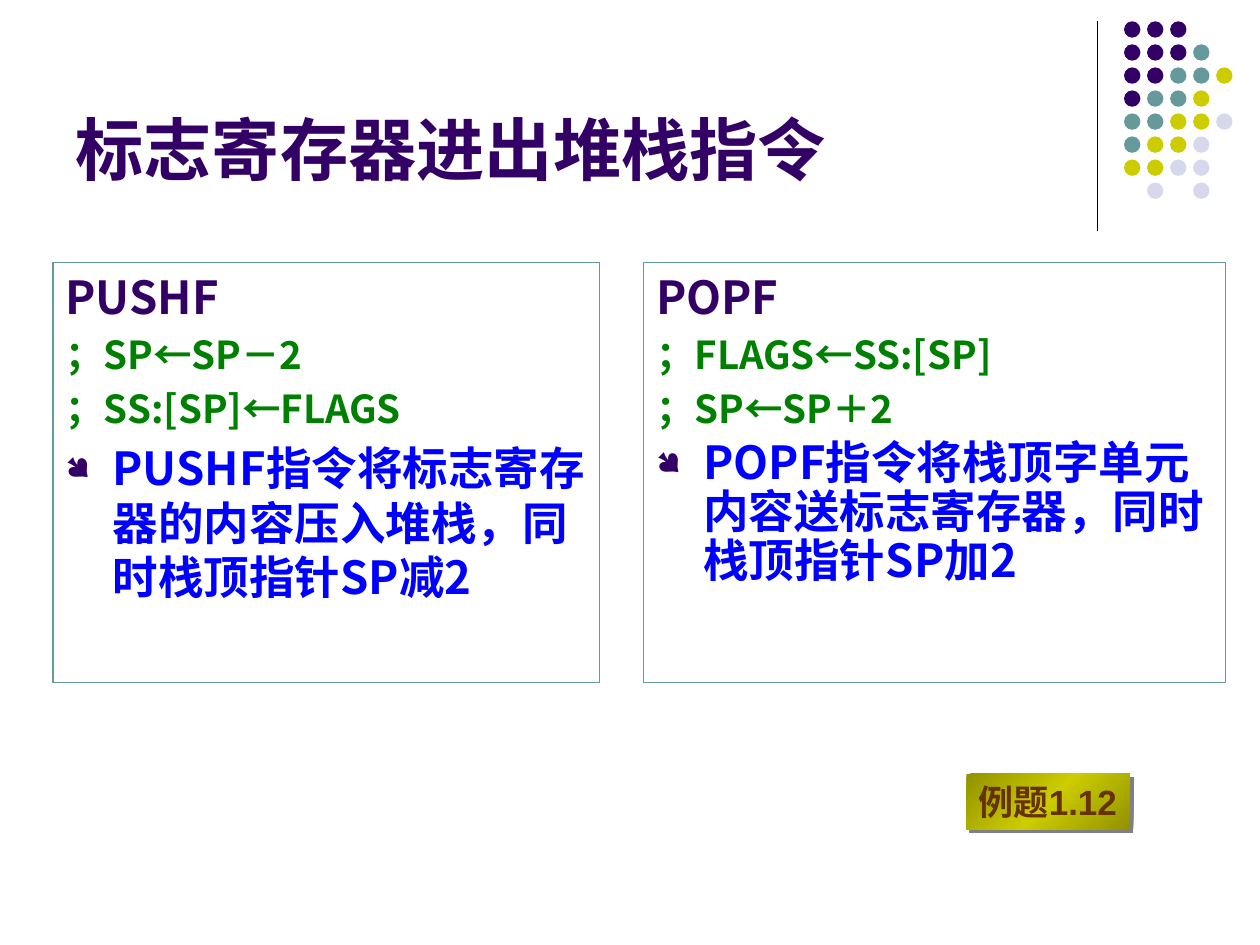
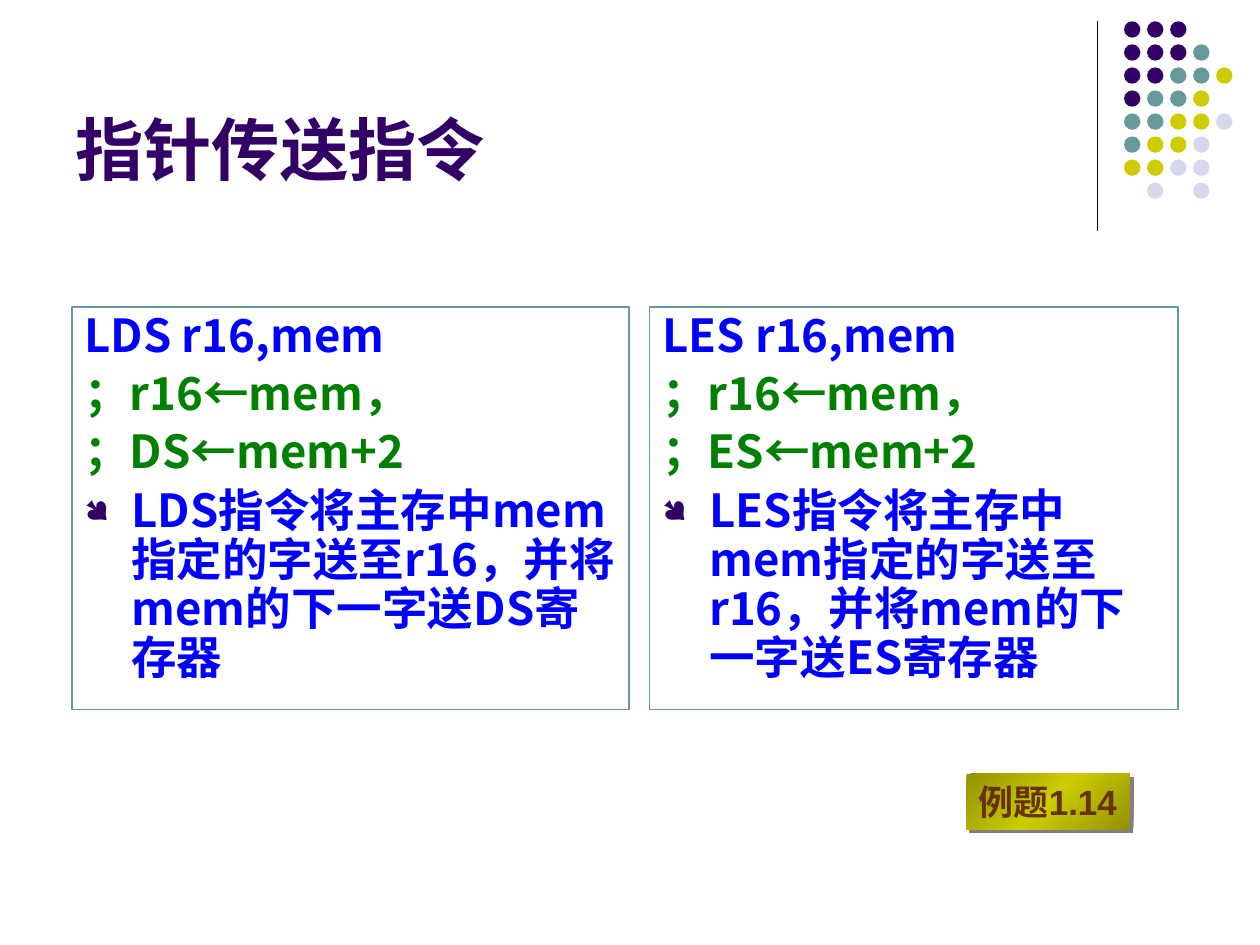
import pptx
import pptx.dml.color
import pptx.enum.shapes
import pptx.enum.text
import pptx.oxml
import pptx.oxml.ns
import pptx.util
from lxml import etree

Cm = pptx.util.Cm
Pt = pptx.util.Pt
Shape = pptx.enum.shapes.MSO_SHAPE
qn = pptx.oxml.ns.qn

COLORS = {
    "purple": "330066",
    "teal": "669999",
    "yellow": "CCCC00",
    "lavender": "D8D8EC",
    "olive": "929200",
    "blue": "0000FF",
    "green": "008000",
    "brown": "663300",
    "gray": "808080",
    "black": "000000",
}
LATIN_FONT = "Arial"
CHINESE_FONT = "Noto Sans CJK SC"

DOT_ROWS = ["PPP", "PPPT", "PPTTY", "PTTY", "TTYYL", "TYYL", "YYLL", " L L"]
DOT_COLORS = {"P": "purple", "T": "teal", "Y": "yellow", "L": "lavender"}
DOT_SIZE = 0.33
DOT_PITCH = 3.25 / 7
DOTS_LEFT, DOTS_TOP = 22.66, 0.43


def rgb(name):
    return pptx.dml.color.RGBColor.from_string(COLORS[name])


def style_paragraph(para, size, color, font=CHINESE_FONT):
    para.font.name = font
    para.font.size = Pt(size)
    para.font.bold = True
    para.font.color.rgb = rgb(color)
    properties = para.font._element
    east_asian = etree.SubElement(properties, qn("a:ea"))
    east_asian.set("typeface", CHINESE_FONT)
    properties.find(qn("a:latin")).addnext(east_asian)


def add_dots(page):
    group = page.shapes.add_group_shape()
    for row, letters in enumerate(DOT_ROWS):
        for column, letter in enumerate(letters):
            if letter == " ":
                continue
            dot = group.shapes.add_shape(
                Shape.OVAL,
                Cm(DOTS_LEFT + column * DOT_PITCH),
                Cm(DOTS_TOP + row * DOT_PITCH),
                Cm(DOT_SIZE), Cm(DOT_SIZE))
            dot.shadow.inherit = False
            dot.fill.solid()
            dot.fill.fore_color.rgb = rgb(DOT_COLORS[letter])
            dot.line.fill.background()


def add_divider(page):
    line = page.shapes.add_connector(
        pptx.enum.shapes.MSO_CONNECTOR.STRAIGHT,
        Cm(22.12), Cm(0.43), Cm(22.12), Cm(4.65))
    line.line.color.rgb = rgb("black")
    line.line.width = Pt(0.75)
    etree.SubElement(line._element.spPr, qn("a:effectLst"))


def add_title(page, text):
    box = page.shapes.add_textbox(Cm(1.27), Cm(0.33), Cm(20.96), Cm(3.61))
    frame = box.text_frame
    frame.word_wrap = True
    frame.vertical_anchor = pptx.enum.text.MSO_ANCHOR.BOTTOM
    para = frame.paragraphs[0]
    para.text = text
    style_paragraph(para, 39, "purple", LATIN_FONT)


def add_bullet(properties):
    color = etree.SubElement(properties, qn("a:buClr"))
    etree.SubElement(color, qn("a:srgbClr")).set("val", COLORS["purple"])
    etree.SubElement(properties, qn("a:buSzPct")).set("val", "70000")
    etree.SubElement(properties, qn("a:buFont")).set("typeface", "Wingdings")
    etree.SubElement(properties, qn("a:buChar")).set("char", "●")


def add_instruction_box(page, area, lines, heading_color, comment_size, spacings):
    """Lines hold the instruction, two comments and a bulleted explanation."""
    box = page.shapes.add_shape(Shape.RECTANGLE, *[Cm(length) for length in area])
    box.shadow.inherit = False
    box.fill.background()
    box.line.color.rgb = rgb("teal")
    box.line.width = Pt(0.75)
    frame = box.text_frame
    frame.word_wrap = True
    frame.vertical_anchor = pptx.enum.text.MSO_ANCHOR.TOP
    sizes = [26, comment_size, comment_size, 26]
    colors = [heading_color, "green", "green", "blue"]
    for index, (text, size, color, spacing) in enumerate(
            zip(lines, sizes, colors, spacings)):
        para = frame.add_paragraph() if index else frame.paragraphs[0]
        para.text = text
        para.alignment = pptx.enum.text.PP_ALIGN.LEFT
        para.line_spacing = spacing
        if index:
            para.space_before = Pt(size * 0.2)
        properties = para._p.get_or_add_pPr()
        properties.set("marL", str(Cm(0.95)))
        properties.set("indent", str(-Cm(0.95)))
        if index == len(lines) - 1:
            add_bullet(properties)
        style_paragraph(para, size, color)


def add_gradient(properties):
    gradient = etree.SubElement(properties, qn("a:gradFill"))
    stops = etree.SubElement(gradient, qn("a:gsLst"))
    for position, name in ((0, "olive"), (50, "yellow"), (100, "olive")):
        stop = etree.SubElement(stops, qn("a:gs"))
        stop.set("pos", str(position * 1000))
        etree.SubElement(stop, qn("a:srgbClr")).set("val", COLORS[name])
    etree.SubElement(gradient, qn("a:lin")).set("ang", str(45 * 60000))


def add_shadow(shape):
    shape.shadow.inherit = False
    effects = shape._element.spPr.find(qn("a:effectLst"))
    shadow = etree.SubElement(effects, qn("a:outerShdw"))
    shadow.set("dist", str(Pt(2.8)))
    shadow.set("dir", str(45 * 60000))
    etree.SubElement(shadow, qn("a:srgbClr")).set("val", COLORS["gray"])


def add_example_button(page, text):
    button = page.shapes.add_shape(
        Shape.RECTANGLE, Cm(19.48), Cm(15.6), Cm(3.3), Cm(1.12))
    add_gradient(button._element.spPr)
    button.line.fill.background()
    add_shadow(button)
    frame = button.text_frame
    frame.word_wrap = True
    frame.vertical_anchor = pptx.enum.text.MSO_ANCHOR.TOP
    para = frame.paragraphs[0]
    para.text = text
    para.alignment = pptx.enum.text.PP_ALIGN.LEFT
    style_paragraph(para, 20, "brown", LATIN_FONT)


def add_page(deck, title, example):
    page = deck.slides.add_slide(deck.slide_layouts[6])
    add_divider(page)
    add_dots(page)
    add_title(page, title)
    add_example_button(page, example)
    return page


def main():
    deck = pptx.Presentation()
    deck.slide_width, deck.slide_height = Cm(25.4), Cm(19.05)

    page = add_page(deck, "标志寄存器进出堆栈指令", "例题1.12")
    add_instruction_box(
        page, (1.07, 5.29, 11.02, 8.47),
        ["PUSHF", "；SP←SP－2", "；SS:[SP]←FLAGS",
         "PUSHF指令将标志寄存器的内容压入堆栈，同时栈顶指针SP减2"],
        "purple", 22, [1.0] * 4)
    add_instruction_box(
        page, (12.98, 5.29, 11.72, 8.47),
        ["POPF", "；FLAGS←SS:[SP]", "；SP←SP＋2",
         "POPF指令将栈顶字单元内容送标志寄存器，同时栈顶指针SP加2"],
        "purple", 22, [1.0, 1.0, 1.0, 0.9])

    page = add_page(deck, "指针传送指令", "例题1.14")
    for segment, left, width in (("DS", 1.45, 11.23), ("ES", 13.1, 10.65)):
        add_instruction_box(
            page, (left, 6.19, width, 8.11),
            [f"L{segment} r16,mem", "；r16←mem，", f"；{segment}←mem+2",
             f"L{segment}指令将主存中mem指定的字送至r16，并将mem的下一字送{segment}寄存器"],
            "blue", 26, [0.9] * 4)

    deck.save("out.pptx")


if __name__ == "__main__":
    main()
